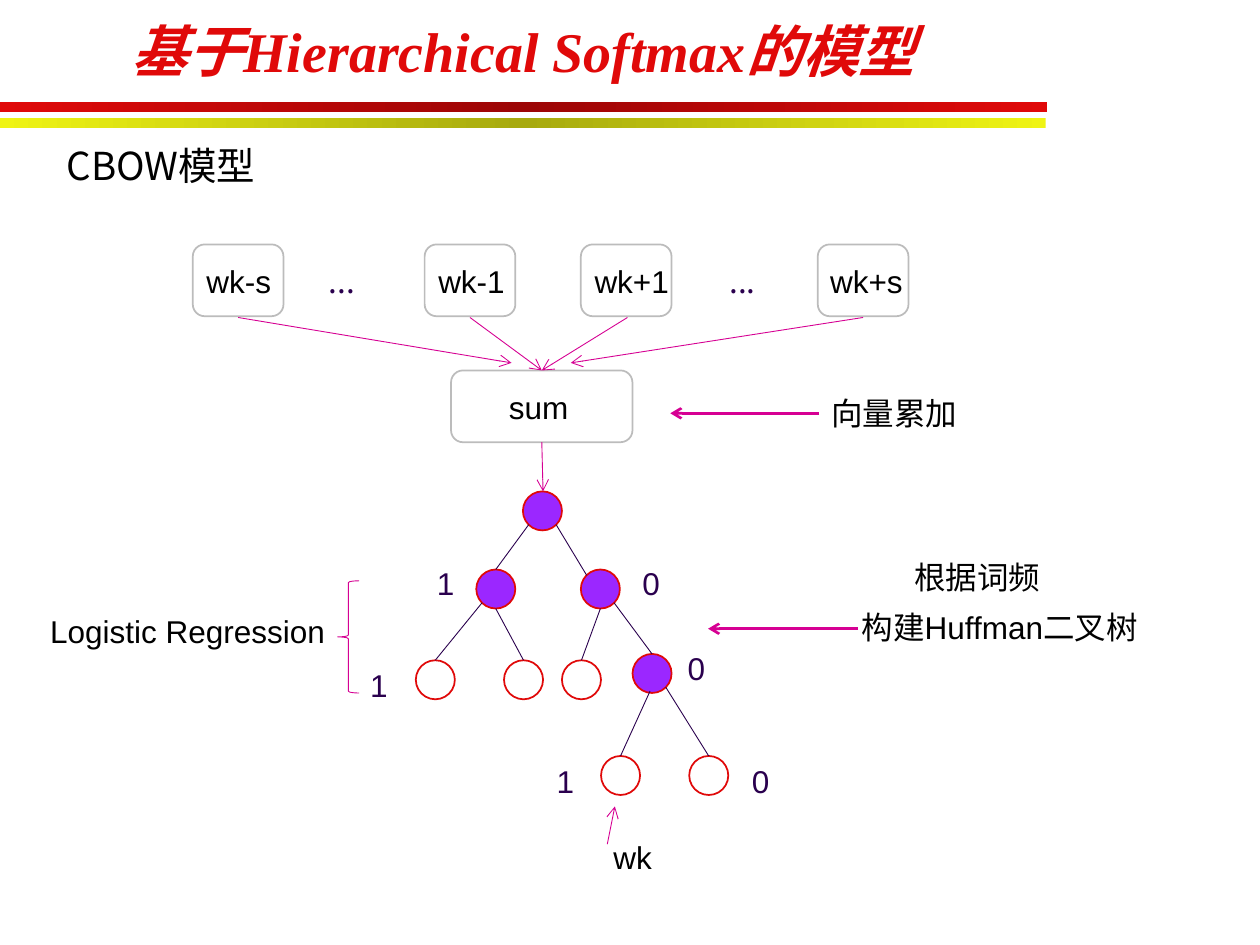
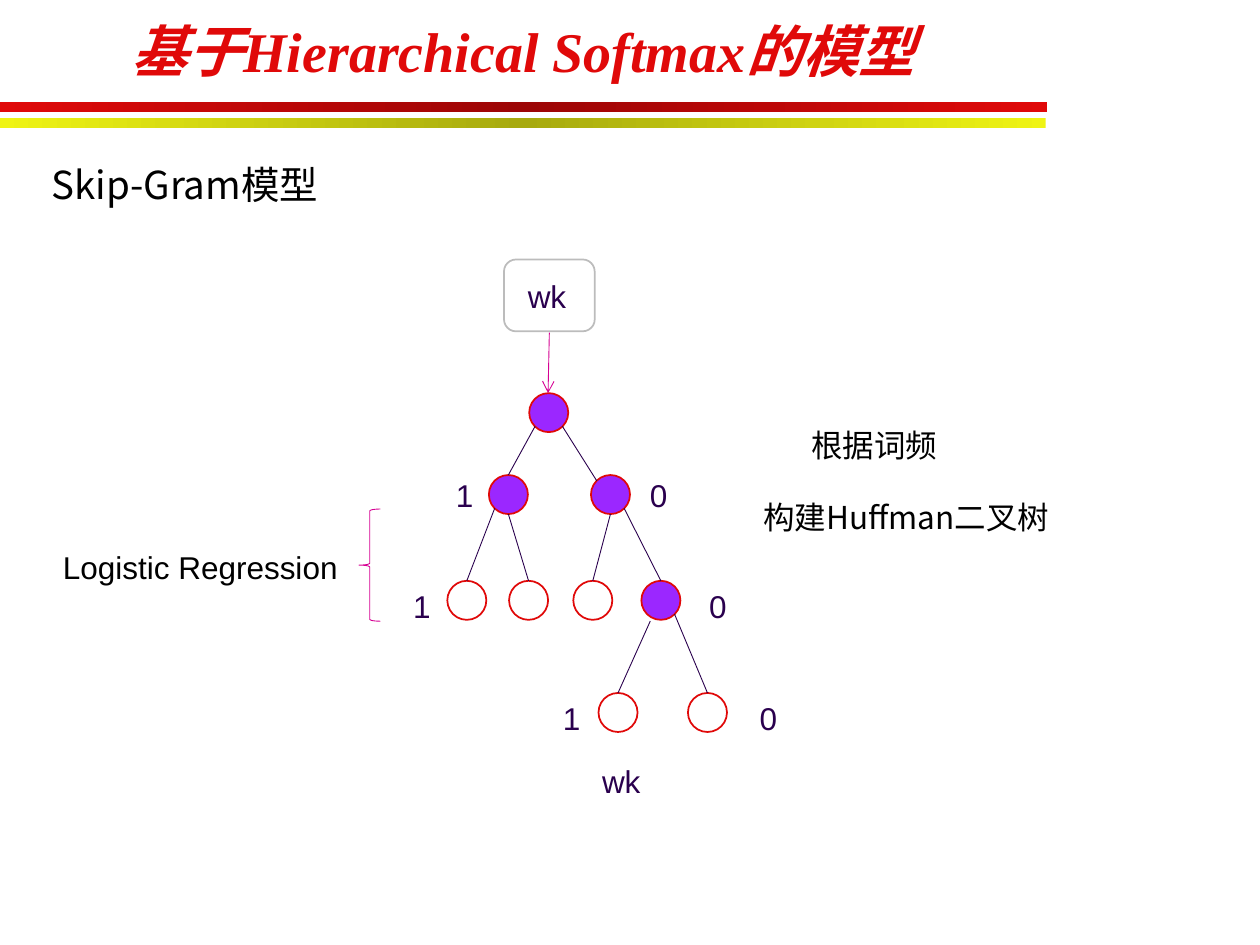
from copy import deepcopy
from dataclasses import dataclass

from pptx import Presentation
from pptx import util as u
from pptx.dml.color import RGBColor
from pptx.enum import shapes, text
from pptx.oxml import ns
from pptx.oxml.xmlchemy import OxmlElement

COLORS = {
    "red": "E00909", "dark_red": "9C0606",
    "yellow": "EFF414", "olive": "A7AA0E",
    "white": "FFFFFF", "black": "000000", "grey": "BCBCBC",
    "violet": "9B27FF", "indigo": "2A004E", "magenta": "D60093",
}
SANS, CJK, SERIF = "Arial", "Noto Sans CJK SC", "Times New Roman"
TITLE = "基于Hierarchical Softmax的模型"

NODE = 0.31
BOX_HEIGHT = 0.57
LABEL_HEIGHT = 0.4

# Points on a node, as fractions of its width and height
TOP, BOTTOM = (0.5, 0), (0.5, 1)
UPPER_LEFT, LOWER_LEFT, LOWER_RIGHT = (0.15, 0.15), (0.15, 0.85), (0.85, 0.85)

# The Huffman tree has the same branches on both slides
INNER_NODES = {"root", "one", "zero", "zero_zero"}
BRANCHES = [
    ("root", LOWER_LEFT, "one", TOP),
    ("root", LOWER_RIGHT, "zero", UPPER_LEFT),
    ("one", LOWER_LEFT, "one_one", TOP),
    ("one", BOTTOM, "one_zero", TOP),
    ("zero", BOTTOM, "zero_one", TOP),
    ("zero", LOWER_RIGHT, "zero_zero", TOP),
    ("zero_zero", LOWER_RIGHT, "last_leaf", TOP),
]

Point = tuple[float, float]


@dataclass
class WordBox:
    left: float
    top: float
    width: float = 0.72


@dataclass
class Label:
    words: str
    left: float
    top: float
    width: float = 0.34
    color: str = "indigo"
    font: str = SANS
    wrap: bool = False


@dataclass
class Arrow:
    start: Point
    end: Point
    weight: float = 0.5


@dataclass
class ModelSlide:
    heading: str
    heading_at: tuple[float, float, float, float]
    boxes: list[WordBox]
    nodes: dict[str, Point]
    wk_branch_start: Point
    labels: list[Label]
    arrows: list[Arrow]
    brace_at: Point


def rgb(name: str) -> RGBColor:
    return RGBColor.from_string(COLORS[name])


def place(shape, left: float, top: float, width: float, height: float) -> None:
    shape.left, shape.top = u.Inches(left), u.Inches(top)
    shape.width, shape.height = u.Inches(width), u.Inches(height)


def write(frame, words: str, size: float, font: str, color: str):
    """Fill a text frame with one formatted paragraph and return it."""
    frame.text = words
    paragraph = frame.paragraphs[0]
    for run in paragraph.runs:
        run.font.size = u.Pt(size)
        run.font.name = font
        run.font.color.rgb = rgb(color)
        east_asian = OxmlElement("a:ea")
        east_asian.set("typeface", CJK)
        run.font._element.append(east_asian)
    return paragraph


def add_outline(slide, kind, left: float, top: float, width: float, height: float,
                fill: str | None = None, line: str | None = None, weight: float = 1):
    shape = slide.shapes.add_shape(
        kind, u.Inches(left), u.Inches(top), u.Inches(width), u.Inches(height))
    shape.shadow.inherit = False
    if fill:
        shape.fill.solid()
        shape.fill.fore_color.rgb = rgb(fill)
    else:
        shape.fill.background()
    if line:
        shape.line.color.rgb = rgb(line)
        shape.line.width = u.Pt(weight)
    else:
        shape.line.fill.background()
    return shape


def add_band(slide, top: float, width: float, edge: str, middle: str) -> None:
    band = add_outline(slide, shapes.MSO_SHAPE.RECTANGLE, 0, top, width, 0.08)
    band.fill.gradient()
    band.fill.gradient_angle = 0
    stop_list = band._element.spPr.find(".//" + ns.qn("a:gsLst"))
    stop_list.append(deepcopy(stop_list[0]))
    stops = zip(band.fill.gradient_stops, (0, 0.5, 1), (edge, middle, edge))
    for stop, position, color in stops:
        stop.position = position
        stop.color.rgb = rgb(color)


def add_line(slide, start: Point, end: Point, color: str, weight: float = 0.5,
             arrowhead: bool = False) -> None:
    line = slide.shapes.add_connector(
        shapes.MSO_CONNECTOR.STRAIGHT, *(u.Inches(n) for n in (*start, *end)))
    line.line.color.rgb = rgb(color)
    line.line.width = u.Pt(weight)
    if arrowhead:
        tail = OxmlElement("a:tailEnd")
        tail.set("type", "arrow")
        line.line._get_or_add_ln().append(tail)
    line._element.spPr.append(OxmlElement("a:effectLst"))


def add_label(slide, label: Label) -> None:
    box = slide.shapes.add_textbox(
        u.Inches(label.left), u.Inches(label.top),
        u.Inches(label.width), u.Inches(LABEL_HEIGHT))
    frame = box.text_frame
    frame.word_wrap = label.wrap
    frame.auto_size = text.MSO_AUTO_SIZE.SHAPE_TO_FIT_TEXT
    write(frame, label.words, 18, label.font, label.color)


def add_header(slide, model: ModelSlide) -> None:
    """Title, colour bands and the model's heading."""
    title = slide.shapes.title
    place(title, 0, 0, 8.3, 0.8)
    title.text_frame.auto_size = text.MSO_AUTO_SIZE.NONE
    title.text_frame.vertical_anchor = text.MSO_ANCHOR.MIDDLE
    paragraph = write(title.text_frame, TITLE, 32, SERIF, "red")
    paragraph.alignment = text.PP_ALIGN.CENTER
    for run in paragraph.runs:
        run.font.bold = run.font.italic = True

    add_band(slide, 0.81, 8.31, "red", "dark_red")
    add_band(slide, 0.94, 8.3, "yellow", "olive")

    heading = slide.placeholders[1]
    place(heading, *model.heading_at)
    heading.text_frame.auto_size = text.MSO_AUTO_SIZE.NONE
    paragraph = write(heading.text_frame, model.heading, 22, CJK, "black")
    paragraph.space_before = u.Pt(0)
    properties = paragraph._p.get_or_add_pPr()
    properties.set("marL", str(u.Inches(0.13)))
    properties.set("indent", str(-u.Inches(0.13)))
    properties.append(OxmlElement("a:buNone"))


def add_tree(slide, model: ModelSlide) -> None:
    def point(node: str, part: Point) -> Point:
        left, top = model.nodes[node]
        return left + NODE * part[0], top + NODE * part[1]

    for node, (left, top) in model.nodes.items():
        fill = "violet" if node in INNER_NODES else "white"
        add_outline(slide, shapes.MSO_SHAPE.OVAL, left, top, NODE, NODE, fill, "red")
    wk_branch = ("zero_zero", model.wk_branch_start, "wk", TOP)
    for parent, start, child, end in [*BRANCHES, wk_branch]:
        add_line(slide, point(parent, start), point(child, end), "indigo")


def add_model_slide(deck, model: ModelSlide) -> None:
    slide = deck.slides.add_slide(deck.slide_layouts[1])
    add_header(slide, model)
    for box in model.boxes:
        add_outline(slide, shapes.MSO_SHAPE.ROUNDED_RECTANGLE, box.left, box.top,
                    box.width, BOX_HEIGHT, "white", "grey")
    add_tree(slide, model)
    for arrow in model.arrows:
        add_line(slide, arrow.start, arrow.end, "magenta", arrow.weight, True)
    add_outline(slide, shapes.MSO_SHAPE.LEFT_BRACE, *model.brace_at, 0.17, 0.89,
                line="magenta", weight=0.5)
    for label in model.labels:
        add_label(slide, label)


# Content of the two models
CBOW = ModelSlide(
    heading="CBOW模型",
    heading_at=(0.43, 1.08, 9.08, 6.07),
    boxes=[*(WordBox(left, 1.94) for left in (1.53, 3.37, 4.61, 6.49)),
           WordBox(3.58, 2.94, 1.44)],
    nodes={
        "root": (4.15, 3.9), "one": (3.78, 4.52), "zero": (4.61, 4.52),
        "one_one": (3.3, 5.24), "one_zero": (4, 5.24),
        "zero_one": (4.46, 5.24), "zero_zero": (5.02, 5.19),
        "wk": (4.77, 6), "last_leaf": (5.47, 6),
    },
    wk_branch_start=(0.45, 0.95),
    labels=[
        Label("wk-s", 1.54, 2.03, 0.75, "black"),
        Label("wk-1", 3.38, 2.03, 0.75, "black"),
        Label("wk+1", 4.62, 2.03, 0.81, "black"),
        Label("wk+s", 6.49, 2.03, 0.81, "black"),
        *(Label("...", left, 2.03, 0.51, font=CJK, wrap=True) for left in (2.51, 5.69)),
        Label("sum", 3.94, 3.03, 0.69, "black"),
        Label("向量累加", 6.5, 3.08, 1.2, "black"),
        Label("1", 3.37, 4.43), Label("0", 5, 4.43),
        Label("1", 2.84, 5.24), Label("0", 5.36, 5.1),
        Label("1", 4.32, 6), Label("0", 5.87, 6),
        Label("根据词频", 7.16, 4.38, 1.2, "black"),
        Label("构建Huffman二叉树", 6.74, 4.78, 2.51, "black"),
        Label("Logistic Regression", 0.3, 4.81, 2.38, "black"),
        Label("wk", 4.77, 6.6, 0.63, "black", wrap=True),
    ],
    arrows=[
        Arrow((1.89, 2.52), (4.06, 2.88)),
        Arrow((3.73, 2.52), (4.3, 2.94)),
        Arrow((4.98, 2.52), (4.3, 2.94)),
        Arrow((6.85, 2.52), (4.53, 2.88)),
        Arrow((4.3, 3.51), (4.31, 3.9)),
        Arrow((6.5, 3.28), (5.32, 3.28), 1.5),
        Arrow((6.81, 4.99), (5.62, 4.99), 1.5),
        Arrow((4.82, 6.7), (4.88, 6.4)),
    ],
    brace_at=(2.68, 4.61),
)

SKIP_GRAM = ModelSlide(
    heading="Skip-Gram模型",
    heading_at=(0.31, 1.23, 9.08, 5.17),
    boxes=[WordBox(4, 2.06)],
    nodes={
        "root": (4.2, 3.12), "one": (3.88, 3.77), "zero": (4.69, 3.77),
        "one_one": (3.55, 4.61), "one_zero": (4.04, 4.61),
        "zero_one": (4.55, 4.61), "zero_zero": (5.09, 4.61),
        "wk": (4.75, 5.5), "last_leaf": (5.46, 5.5),
    },
    wk_branch_start=(0.23, 1.03),
    labels=[
        Label("wk", 4.09, 2.15, 0.55),
        Label("1", 3.52, 3.73), Label("0", 5.06, 3.73),
        Label("1", 3.18, 4.61), Label("0", 5.53, 4.61),
        Label("1", 4.37, 5.5), Label("0", 5.93, 5.5),
        Label("根据词频", 6.34, 3.33, 1.2, "black"),
        Label("构建Huffman二叉树", 5.96, 3.9, 2.61, "black", CJK),
        Label("Logistic Regression", 0.4, 4.3, 2.38, "black"),
        Label("wk", 4.68, 6, 0.56, wrap=True),
    ],
    arrows=[Arrow((4.36, 2.64), (4.35, 3.12))],
    brace_at=(2.85, 4.04),
)


def main() -> None:
    deck = Presentation()
    deck.slide_width, deck.slide_height = u.Inches(10), u.Inches(7.5)
    for model in (CBOW, SKIP_GRAM):
        add_model_slide(deck, model)
    deck.save("out.pptx")


if __name__ == "__main__":
    main()
